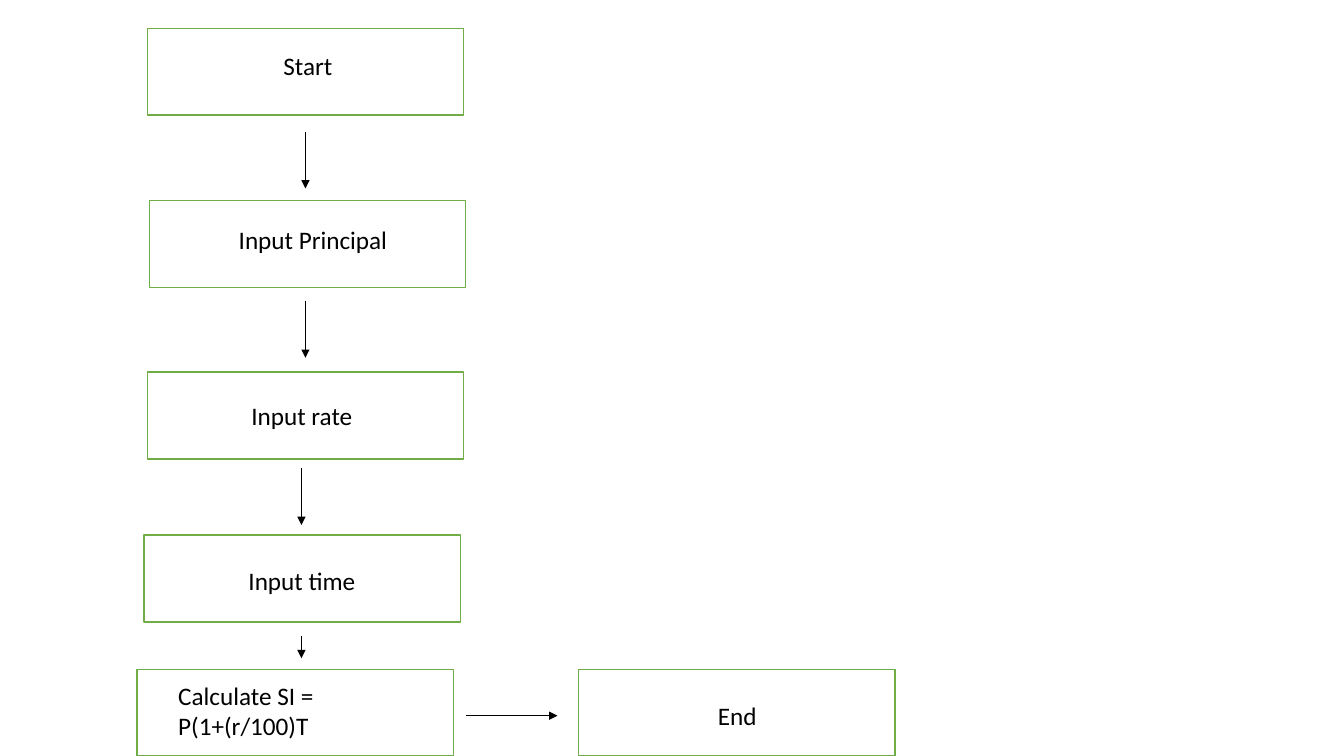
"""Build a flowchart slide for a simple interest calculation."""
from lxml import etree
from pptx import Presentation
from pptx.dml.color import RGBColor
from pptx.enum import shapes, text
from pptx.oxml import ns
from pptx.util import Pt


def color(hex_code):
    return RGBColor.from_string(hex_code)


def add_label(wording, left, top, width=200.9, height=28.8, align=text.PP_ALIGN.CENTER):
    frame = slide.shapes.add_textbox(Pt(left), Pt(top), Pt(width), Pt(height)).text_frame
    frame.word_wrap = True
    frame.auto_size = text.MSO_AUTO_SIZE.SHAPE_TO_FIT_TEXT
    paragraph = frame.paragraphs[0]
    paragraph.alignment = align
    run = paragraph.add_run()
    run.text = wording
    run.font.name = "Calibri"
    run.font.size = Pt(18)
    run.font.color.rgb = color("000000")


deck = Presentation()
deck.slide_width, deck.slide_height = Pt(960), Pt(540)
slide = deck.slides.add_slide(deck.slide_layouts[6])

step_width, step_height = 226, 62
step_corners = [(105.2, 20.2), (106.6, 143.2), (105.2, 265.8),
                (102.9, 382.2), (97.9, 478), (413.4, 478)]
for left, top in step_corners:
    step = slide.shapes.add_shape(shapes.MSO_SHAPE.RECTANGLE, Pt(left), Pt(top),
                                  Pt(step_width), Pt(step_height))
    step.shadow.inherit = False
    step.fill.solid()
    step.fill.fore_color.rgb = color("FFFFFF")
    step.line.color.rgb = color("70AD47")
    step.line.width = Pt(1)

flow_arrows = [(218.2, 94.3, 218.2, 134.6), (218.2, 215.3, 218.2, 255.6),
               (215.3, 334.3, 215.3, 375), (215.3, 454.3, 215.3, 470.2),
               (332.6, 511.2, 398.2, 511.2)]
for ends in flow_arrows:
    arrow = slide.shapes.add_connector(shapes.MSO_CONNECTOR.STRAIGHT, *map(Pt, ends))
    arrow.line.color.rgb = color("000000")
    arrow.line.width = Pt(0.5)
    etree.SubElement(arrow.line._get_or_add_ln(), ns.qn("a:tailEnd"), type="triangle")
    etree.SubElement(arrow._element.spPr, ns.qn("a:effectLst"))

add_label("Start", 123.1, 32.4, width=193.7)
add_label("Input Principal", 123.1, 157)
add_label("Input rate", 115.2, 282.2)
add_label("Input time", 115.2, 400.3)
add_label("Calculate SI = P(1+(r/100)T", 120.2, 482.4, height=51, align=text.PP_ALIGN.LEFT)
add_label("End", 426.2, 496.8)

deck.save("out.pptx")
